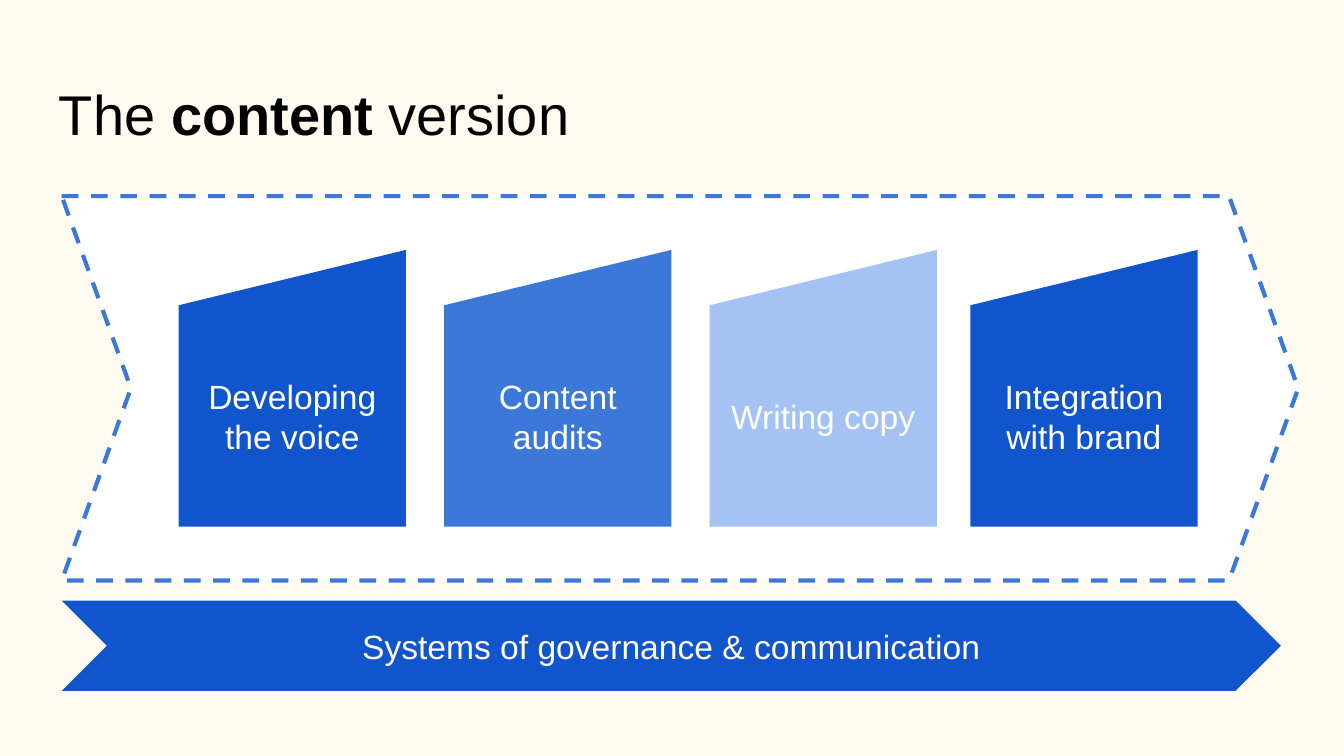
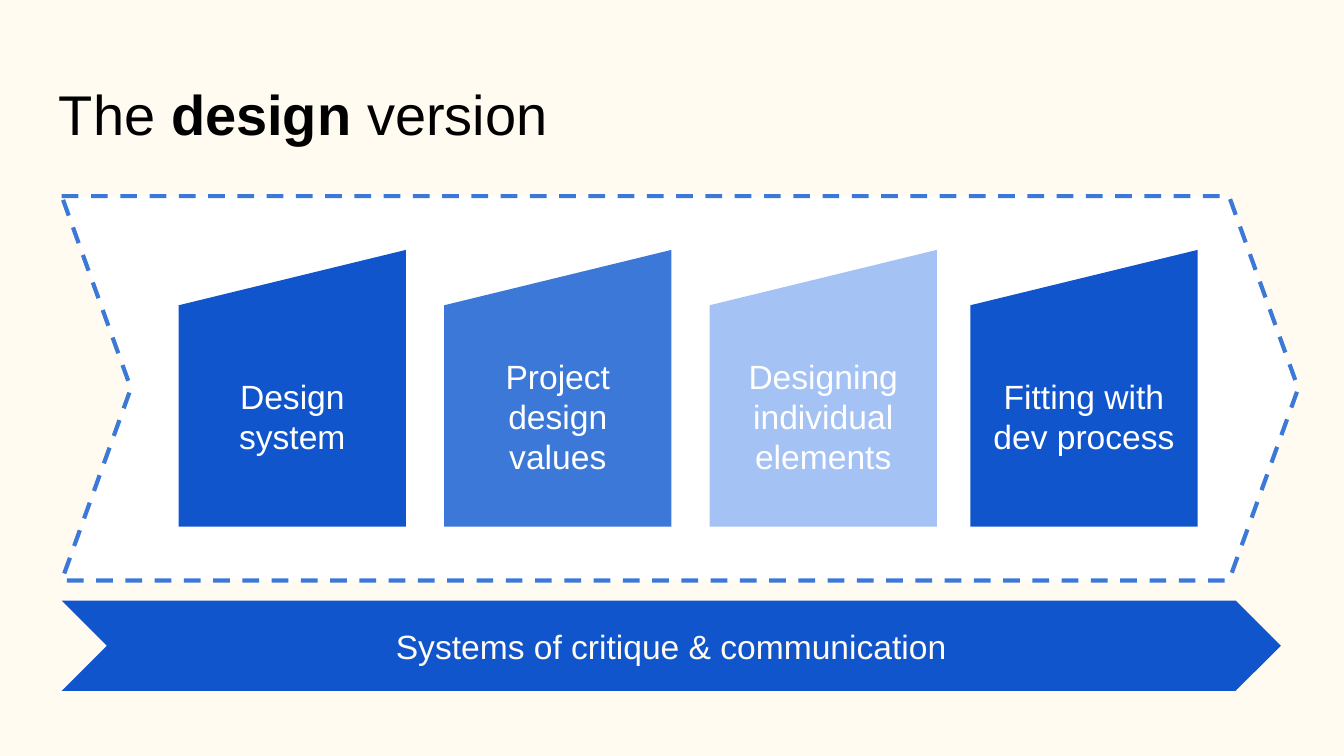
"""Two slides that show a process as cards inside a dashed arrow."""
from typing import NamedTuple

from pptx import Presentation
from pptx.dml.color import RGBColor
from pptx.enum.dml import MSO_LINE
from pptx.enum.shapes import MSO_SHAPE as Kind
from pptx.enum.text import MSO_ANCHOR as Anchor, PP_ALIGN as Align
from pptx.util import Emu, Pt

PX = 4572
FONT = "Arial"
CREAM = RGBColor(0xFF, 0xFB, 0xF0)
WHITE = RGBColor(0xFF, 0xFF, 0xFF)
BLACK = RGBColor(0x00, 0x00, 0x00)
NAVY = RGBColor(0x11, 0x55, 0xCC)
BLUE = RGBColor(0x3C, 0x78, 0xD8)
PALE = RGBColor(0xA4, 0xC2, 0xF4)


class Box(NamedTuple):
    left: int
    top: int
    width: int
    height: int

    def emu(self) -> list[Emu]:
        return [Emu(side * PX) for side in self]


class Page(NamedTuple):
    topic: str
    steps: tuple[str, ...]
    base: str


TITLE = Box(68, 98, 1864, 134)
FRAME = Box(92, 292, 1840, 572)
BAR = Box(92, 894, 1814, 134)
CARDS = [
    (Box(left, 372, 338, 412), fill)
    for left, fill in zip((266, 661, 1056, 1444), (NAVY, BLUE, PALE, NAVY))
]
PAGES = [
    Page(
        "content",
        ("Developing the voice", "Content audits", "Writing copy", "Integration with brand"),
        "Systems of governance & communication",
    ),
    Page(
        "design",
        ("Design system", "Project design values", "Designing individual elements",
         "Fitting with dev process"),
        "Systems of critique & communication",
    ),
]


def style(run, size: int, color: RGBColor, bold: bool = False) -> None:
    run.font.name = FONT
    run.font.size = Pt(size)
    run.font.color.rgb = color
    run.font.bold = bold


def setup(frame, anchor: Anchor) -> None:
    frame.word_wrap = True
    frame.vertical_anchor = anchor
    frame.margin_left = frame.margin_right = Emu(20 * PX)
    frame.margin_top = frame.margin_bottom = Emu(20 * PX)


def block(slide, kind: Kind, box: Box, fill: RGBColor):
    shape = slide.shapes.add_shape(kind, *box.emu())
    shape.shadow.inherit = False
    shape.fill.solid()
    shape.fill.fore_color.rgb = fill
    shape.line.fill.background()
    return shape


def label(shape, text: str, color: RGBColor) -> None:
    frame = shape.text_frame
    setup(frame, Anchor.MIDDLE)
    frame.text = text
    para = frame.paragraphs[0]
    para.alignment = Align.CENTER
    style(para.runs[0], 18, color)


def title(slide, topic: str) -> None:
    frame = slide.shapes.add_textbox(*TITLE.emu()).text_frame
    setup(frame, Anchor.TOP)
    for text in ("The ", topic, " version"):
        run = frame.paragraphs[0].add_run()
        run.text = text
        style(run, 30, BLACK, text == topic)


def draw(slide, page: Page) -> None:
    slide.background.fill.solid()
    slide.background.fill.fore_color.rgb = CREAM
    title(slide, page.topic)

    frame = block(slide, Kind.CHEVRON, FRAME, WHITE)
    frame.adjustments[0] = 0.18
    frame.line.color.rgb = BLUE
    frame.line.width = Pt(2.25)
    frame.line.dash_style = MSO_LINE.DASH

    for (box, fill), step in zip(CARDS, page.steps):
        label(block(slide, Kind.FLOWCHART_MANUAL_INPUT, box, fill), step, WHITE)
    label(block(slide, Kind.CHEVRON, BAR, NAVY), page.base, CREAM)


def main() -> None:
    deck = Presentation()
    deck.slide_width, deck.slide_height = Emu(2000 * PX), Emu(1125 * PX)
    for page in PAGES:
        draw(deck.slides.add_slide(deck.slide_layouts[6]), page)
    deck.save("out.pptx")


if __name__ == "__main__":
    main()
